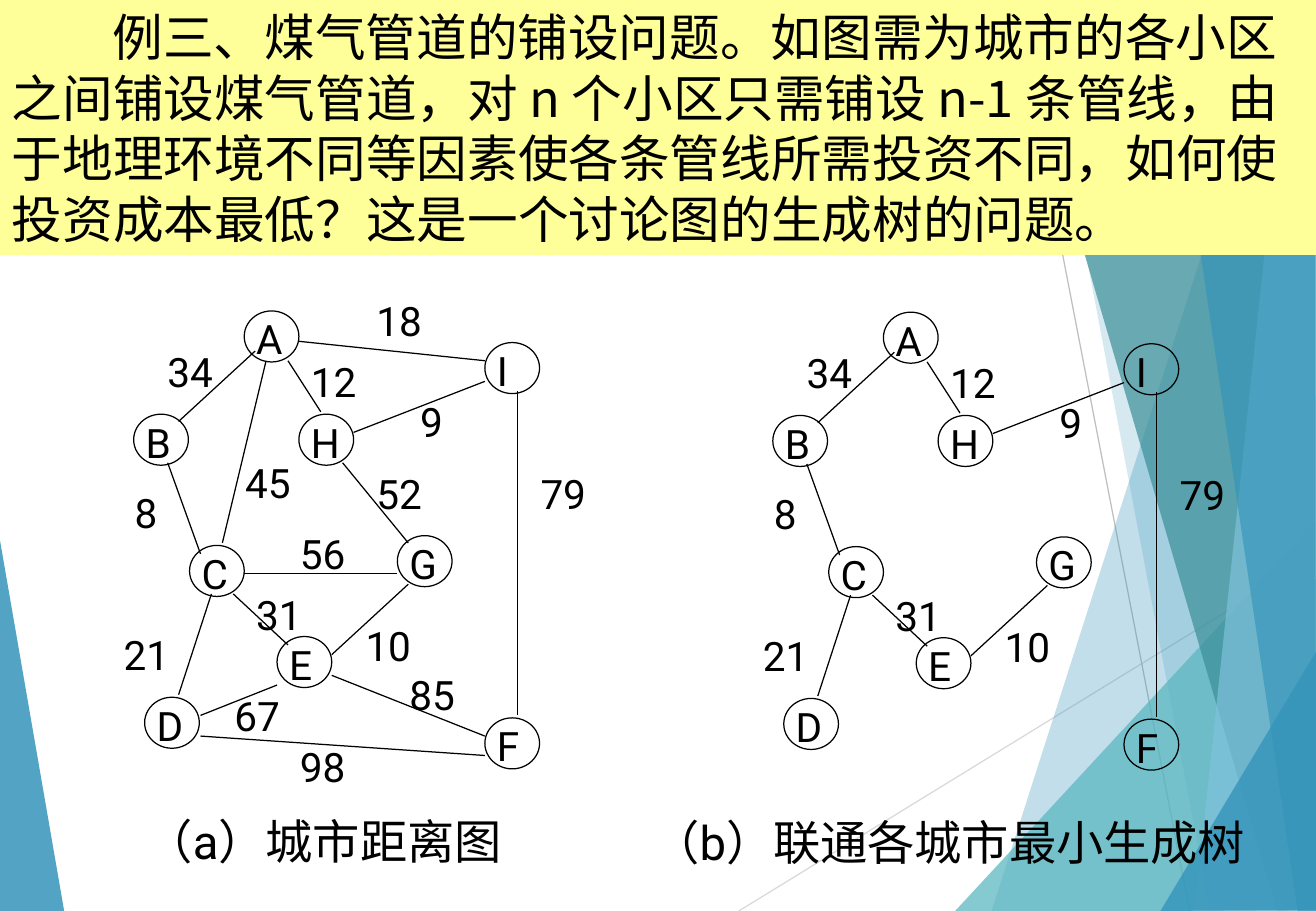
from lxml.etree import SubElement
from pptx import Presentation
from pptx.dml.color import RGBColor
from pptx.enum.shapes import MSO_CONNECTOR, MSO_SHAPE
from pptx.enum.text import MSO_ANCHOR, PP_ALIGN
from pptx.oxml.ns import qn
from pptx.util import Inches, Pt

COLORS = {
    "black": "000000", "yellow": "FFFF99", "blue": "3494BA", "teal": "58B6C0",
    "green": "3A8F98", "sky": "7FC1DB", "gray": "BFBFBF", "pale": "D9D9D9",
}
LATIN, HAN = "Roboto", "Noto Sans CJK SC"

WEDGE = ("blue", 85, [(-0.01, 4.39), (0.53, 7.51), (-0.01, 7.5)])
RAYS = [("pale", (6.08, 7.5), (10.85, 4.57)), ("gray", (8.34, 0), (9.79, 7.5))]
# colour, opacity in percent, corners
FACETS = [
    ("blue", 30, [(10.56, 0), (8.16, 7.5), (10.85, 7.51), (10.84, 0.01)]),
    ("blue", 20, [(8.54, -0.01), (9.96, 7.5), (10.84, 7.5), (10.84, -0.01)]),
    ("teal", 72, [(7.86, 7.5), (10.83, 4.29), (10.84, 7.5)]),
    ("green", 70, [(8.31, -0.01), (10.51, 7.5), (10.85, 7.49), (10.85, -0.01)]),
    ("sky", 70, [(10.63, -0.01), (9.83, 7.5), (10.85, 7.5), (10.84, -0.01)]),
    ("blue", 65, [(9.57, -0.01), (10.68, 7.5), (10.83, 7.5), (10.82, -0.01)]),
    ("blue", 80, [(9.55, 7.5), (10.84, 5.35), (10.85, 7.49)]),
]

INTRO = ("例三、煤气管道的铺设问题。如图需为城市的各小区之间铺设煤气管道，"
         "对 n 个小区只需铺设 n-1 条管线，由于地理环境不同等因素使各条管线所需投资不同，"
         "如何使投资成本最低？这是一个讨论图的生成树的问题。")

NODES = {
    "A": (2.01, 2.56), "B": (1.1, 3.41), "H": (2.46, 3.41),
    "I": (3.99, 2.82), "G": (3.27, 4.41), "C": (1.56, 4.49),
    "E": (2.28, 5.24), "D": (1.19, 5.74), "F": (3.99, 5.91),
}
# weight, start, end, label corner
TREE = [
    (34, (2.1, 2.89), (1.47, 3.47), (1.28, 2.81)),
    (9, (3.99, 3.14), (2.91, 3.56), (3.36, 3.22)),
    (12, (2.37, 2.97), (2.64, 3.39), (2.46, 2.89)),
    (21, (1.74, 4.89), (1.47, 5.72), (0.92, 5.14)),
    (79, (4.26, 3.22), (4.26, 5.89), (4.35, 3.81)),
    (31, (1.92, 4.89), (2.37, 5.31), (2.01, 4.81)),
    (10, (2.73, 5.39), (3.36, 4.81), (2.91, 5.06)),
    (8, (1.38, 3.81), (1.65, 4.56), (1.01, 3.97)),
]
EXTRA = [
    (18, (2.46, 2.81), (3.99, 2.97), (3, 2.39)),
    (45, (2.19, 2.97), (1.83, 4.47), (1.92, 3.72)),
    (56, (2.01, 4.72), (3.27, 4.72), (2.37, 4.31)),
    (52, (2.82, 3.81), (3.36, 4.47), (3, 3.81)),
    (67, (2.28, 5.64), (1.65, 5.89), (1.83, 5.64)),
    (85, (2.73, 5.56), (3.99, 6.06), (3.27, 5.47)),
    (98, (1.65, 6.06), (3.99, 6.22), (2.37, 6.06)),
]


class Board:
    def __init__(self, slide):
        self.shapes = slide.shapes

    def color(self, name):
        return RGBColor.from_string(COLORS[name])

    def fill_text(self, frame, text, size, font=LATIN, indent=0):
        frame.word_wrap = True
        frame.vertical_anchor = MSO_ANCHOR.TOP
        para = frame.paragraphs[0]
        para.text = text
        para.alignment = PP_ALIGN.LEFT
        para.font.size = Pt(size)
        para.font.name = font
        para.font.color.rgb = self.color("black")
        props = para._p.get_or_add_pPr()
        props.set("indent", str(Inches(indent)))
        SubElement(props.find(qn("a:defRPr")), qn("a:ea"), typeface=HAN)

    def label(self, text, x, y, w, h=0.5, size=24):
        box = self.shapes.add_textbox(Inches(x), Inches(y), Inches(w), Inches(h))
        self.fill_text(box.text_frame, text, size)

    def line(self, start, end, color="black"):
        ends = [Inches(v) for v in (*start, *end)]
        link = self.shapes.add_connector(MSO_CONNECTOR.STRAIGHT, *ends)
        link.line.color.rgb = self.color(color)
        link.line.width = Pt(0.75)
        SubElement(link._element.spPr, qn("a:effectLst"))

    def facet(self, color, alpha, points):
        """Draw a see-through polygon."""
        spots = [(Inches(x), Inches(y)) for x, y in points]
        pen = self.shapes.build_freeform(*spots[0])
        pen.add_line_segments(spots[1:], close=True)
        shape = pen.convert_to_shape()
        shape.shadow.inherit = False
        shape.fill.solid()
        shape.fill.fore_color.rgb = self.color(color)
        tint = shape._element.spPr.find(qn("a:solidFill"))[0]
        SubElement(tint, qn("a:alpha"), val=str(alpha * 1000))
        shape.line.fill.background()

    def banner(self, text):
        shape = self.shapes.add_shape(
            MSO_SHAPE.RECTANGLE, 0, 0, Inches(10.83), Inches(2.1))
        shape.shadow.inherit = False
        shape.fill.solid()
        shape.fill.fore_color.rgb = self.color("yellow")
        shape.line.fill.background()
        self.fill_text(shape.text_frame, text, 30, HAN, indent=0.83)

    def node(self, name, x, y):
        ring = self.shapes.add_shape(
            MSO_SHAPE.OVAL, Inches(x), Inches(y), Inches(0.45), Inches(0.42))
        ring.shadow.inherit = False
        ring.fill.background()
        ring.line.color.rgb = self.color("black")
        ring.line.width = Pt(0.75)
        self.label(name, x, y - 0.02, 0.45)

    def graph(self, edges, dx=0, dy=0):
        """Draw all nodes and the given edges, moved by dx and dy."""
        def move(spot):
            return spot[0] + dx, spot[1] + dy

        for name, spot in NODES.items():
            self.node(name, *move(spot))
        for _, start, end, _ in edges:
            self.line(move(start), move(end))
        for weight, _, _, spot in edges:
            self.label(str(weight), *move(spot), 0.63)


def main():
    deck = Presentation()
    deck.slide_width, deck.slide_height = Inches(10.83), Inches(7.5)
    board = Board(deck.slides.add_slide(deck.slide_layouts[6]))
    board.facet(*WEDGE)
    for color, start, end in RAYS:
        board.line(start, end, color)
    for facet in FACETS:
        board.facet(*facet)
    board.banner(INTRO)
    board.graph(TREE + EXTRA)
    board.label("（a）城市距离图", 1.1, 6.64, 3.43, 0.57, 28)
    board.graph(TREE, 5.26, 0.01)
    board.label("（b）联通各城市最小生成树", 5.27, 6.65, 6.05, 0.57, 28)
    deck.save("out.pptx")


if __name__ == "__main__":
    main()
